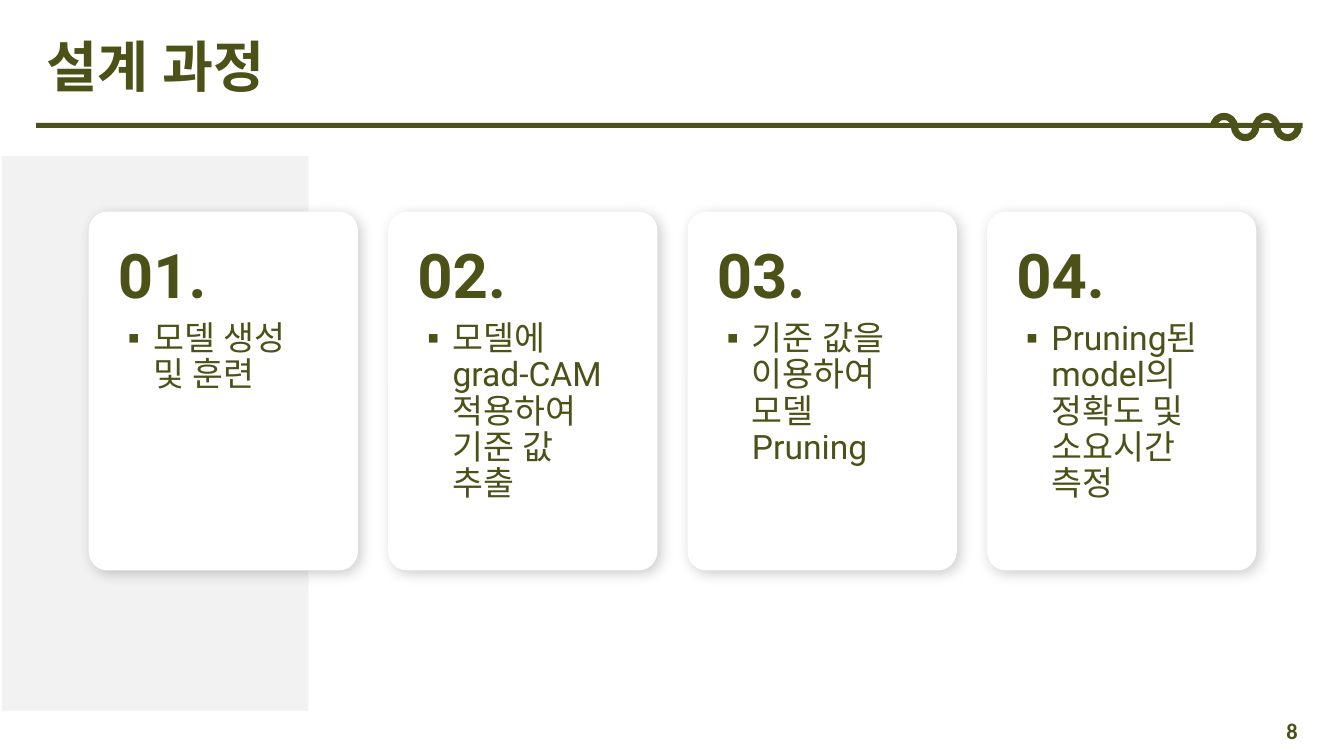
"""Build the design process slide with four numbered cards."""
from dataclasses import dataclass

from lxml import etree
from pptx import Presentation
from pptx.dml.color import RGBColor
from pptx.enum.shapes import MSO_SHAPE
from pptx.enum.text import MSO_ANCHOR, MSO_AUTO_SIZE, PP_ALIGN
from pptx.oxml.ns import qn
from pptx.shapes.autoshape import Shape
from pptx.shapes.shapetree import SlideShapes
from pptx.util import Inches, Pt

OLIVE = RGBColor(0x4B, 0x51, 0x17)
GREY = RGBColor(0xF2, 0xF2, 0xF2)
WHITE = RGBColor(0xFF, 0xFF, 0xFF)
RECT = MSO_SHAPE.RECTANGLE
ROUND = MSO_SHAPE.ROUNDED_RECTANGLE
TOP, MIDDLE = MSO_ANCHOR.TOP, MSO_ANCHOR.MIDDLE
LEFT, RIGHT = PP_ALIGN.LEFT, PP_ALIGN.RIGHT
GROW = MSO_AUTO_SIZE.SHAPE_TO_FIT_TEXT


@dataclass(frozen=True)
class Box:
    left: float
    top: float
    width: float
    height: float

    def emu(self) -> tuple[int, int, int, int]:
        return (Inches(self.left), Inches(self.top),
                Inches(self.width), Inches(self.height))


@dataclass(frozen=True)
class Style:
    size: float
    bold: bool = True
    font: str = "Roboto"
    anchor: MSO_ANCHOR = TOP
    align: PP_ALIGN = LEFT
    space: float = 1.0


TITLE = Style(39.6, anchor=MIDDLE, space=0.9)
NUMBER = Style(44)
BODY = Style(24, bold=False, space=0.9)
PAGE = Style(16, font="Calibri", anchor=MIDDLE, align=RIGHT)

STEPS = (
    "모델 생성 및 훈련",
    "모델에 grad-CAM 적용하여 기준 값 추출",
    "기준 값을 이용하여 모델 Pruning",
    "Pruning된 model의 정확도 및 소요시간 측정",
)
CARD_LEFT, CARD_STEP = 0.88, 2.97
BEND = 0.55


def paint(shape: Shape, color: RGBColor) -> None:
    shape.shadow.inherit = False
    shape.fill.solid()
    shape.fill.fore_color.rgb = color
    shape.line.fill.background()


def add_block(shapes: SlideShapes, box: Box, color: RGBColor,
              kind: MSO_SHAPE = RECT) -> Shape:
    shape = shapes.add_shape(kind, *box.emu())
    paint(shape, color)
    return shape


def add_text(shapes: SlideShapes, box: Box, text: str, style: Style) -> Shape:
    shape = shapes.add_textbox(*box.emu())
    frame = shape.text_frame
    frame.text = text
    frame.word_wrap = True
    frame.vertical_anchor = style.anchor
    para = frame.paragraphs[0]
    para.alignment = style.align
    para.line_spacing = style.space
    run = para.runs[0]
    font = run.font
    font.name, font.size, font.bold = style.font, Pt(style.size), style.bold
    font.color.rgb = OLIVE
    etree.SubElement(run._r.get_or_add_rPr(), qn("a:ea"), typeface=style.font)
    return shape


def add_shadow(shape: Shape) -> None:
    effects = shape._element.spPr.find(qn("a:effectLst"))
    outer = etree.SubElement(
        effects, qn("a:outerShdw"), blurRad=str(Pt(10)), dist=str(Pt(3)),
        dir=str(45 * 60000), algn="tl", rotWithShape="0")
    color = etree.SubElement(outer, qn("a:srgbClr"), val="000000")
    etree.SubElement(color, qn("a:alpha"), val="20000")


def add_bullet(shape: Shape) -> None:
    para = shape.text_frame.paragraphs[0]
    para.space_before = Pt(10)
    props = para._p.get_or_add_pPr()
    props.set("marL", str(Inches(0.25)))
    props.set("indent", str(Inches(-0.25)))
    etree.SubElement(props, qn("a:buFont"), typeface="Calibri")
    etree.SubElement(props, qn("a:buChar"), char="▪")


def add_card(shapes: SlideShapes, index: int, text: str) -> None:
    left = CARD_LEFT + index * CARD_STEP
    card = add_block(shapes, Box(left, 2.1, 2.67, 3.56), WHITE, ROUND)
    card.adjustments[0] = 0.07
    add_shadow(card)
    inner = left + 0.29
    number = add_text(shapes, Box(inner, 2.3, 2.08, 0.84),
                      f"{index + 1:02}.", NUMBER)
    number.text_frame.margin_left = number.text_frame.margin_right = 0
    number.text_frame.auto_size = GROW
    add_bullet(add_text(shapes, Box(inner, 3.14, 2.08, 2.27), text, BODY))


def wave_edge(crest: float, trough: float) -> list[tuple[int, int]]:
    unit = ((-1, BEND), (-BEND, 1), (0, 1), (BEND, 1), (1, BEND), (1, 0))
    points = [(Inches(12.14 - crest), Inches(1.26))]
    for arc in range(4):
        radius, side = (trough, 1) if arc % 2 else (crest, -1)
        points += [(Inches(12.14 + 0.21 * arc + radius * x),
                    Inches(1.26 + side * radius * y)) for x, y in unit]
    return points


def add_wave(shapes: SlideShapes) -> None:
    upper, lower = wave_edge(0.14, 0.07), wave_edge(0.07, 0.14)
    spots = upper + lower[::-1]
    outline = shapes.build_freeform(*spots[0])
    outline.add_line_segments(spots[1:], close=True)
    wave = outline.convert_to_shape()
    paint(wave, OLIVE)
    lines = list(wave._element.iter(qn("a:lnTo")))
    for start in (*range(0, 24, 3), *range(25, 49, 3)):
        trio = lines[start:start + 3]
        curve = etree.Element(qn("a:cubicBezTo"))
        trio[0].addprevious(curve)
        for line in trio:
            curve.append(line[0])
            line.getparent().remove(line)


def main() -> None:
    deck = Presentation()
    deck.slide_width, deck.slide_height = Inches(13.33), Inches(7.5)
    shapes = deck.slides.add_slide(deck.slide_layouts[6]).shapes
    add_text(shapes, Box(9.97, 7.05, 3, 0.4), "8", PAGE)
    add_block(shapes, Box(0.36, 1.22, 12.56, 0.05), OLIVE)
    add_block(shapes, Box(0.02, 1.55, 3.04, 5.5), GREY)
    add_wave(shapes)
    add_text(shapes, Box(0.36, 0.33, 12.56, 0.73), "설계 과정", TITLE)
    for index, text in enumerate(STEPS):
        add_card(shapes, index, text)
    deck.save("out.pptx")


if __name__ == "__main__":
    main()
